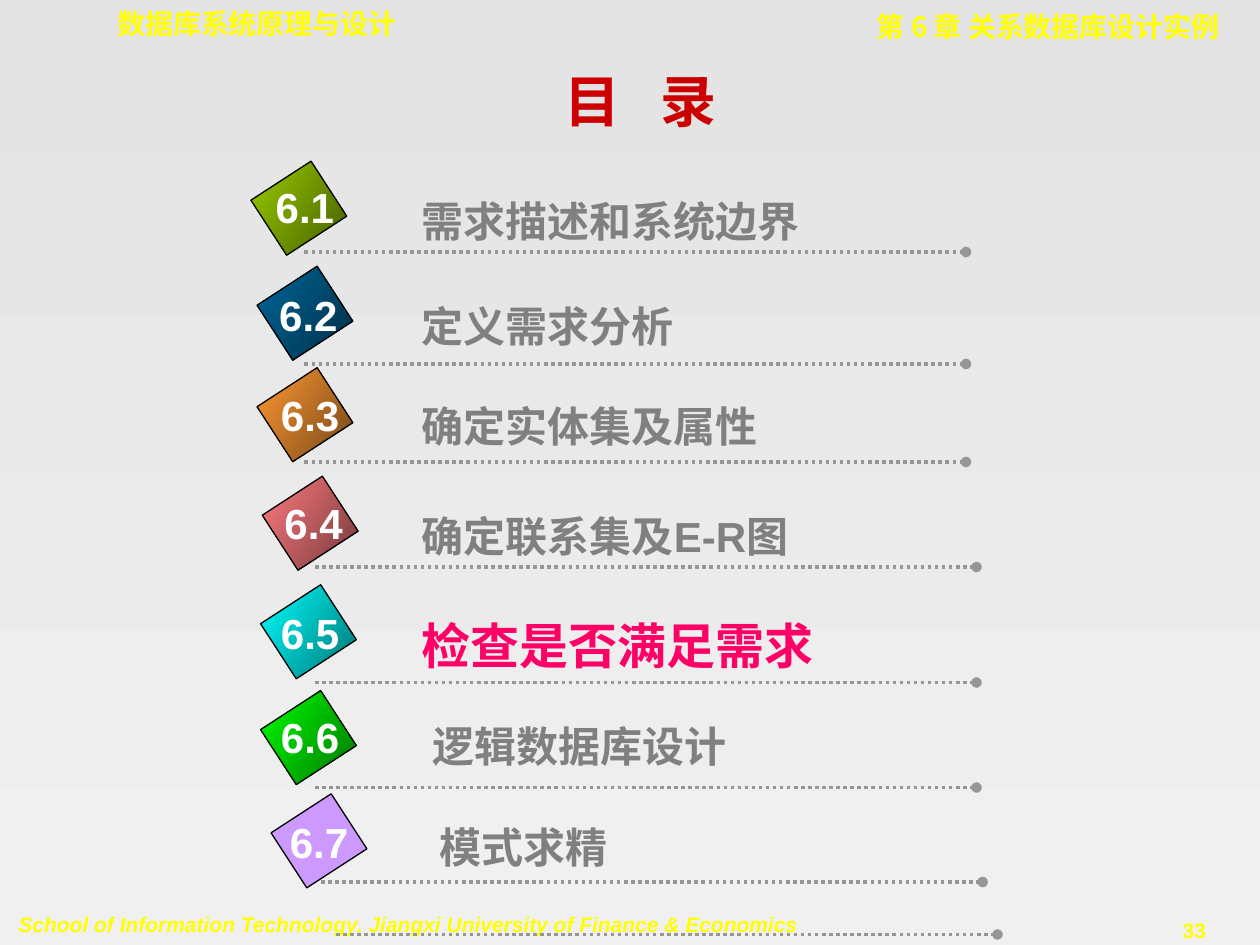
from dataclasses import dataclass

from lxml import etree
from pptx import Presentation
from pptx.dml.color import RGBColor
from pptx.enum.dml import MSO_LINE
from pptx.enum.shapes import MSO_CONNECTOR, MSO_SHAPE
from pptx.enum.text import MSO_ANCHOR, PP_ALIGN
from pptx.oxml.ns import qn
from pptx.util import Pt

LEFT, CENTER, RIGHT = PP_ALIGN.LEFT, PP_ALIGN.CENTER, PP_ALIGN.RIGHT
TOP, MIDDLE = MSO_ANCHOR.TOP, MSO_ANCHOR.MIDDLE
RECTANGLE = MSO_SHAPE.RECTANGLE
STRAIGHT = MSO_CONNECTOR.STRAIGHT
DOTTED = MSO_LINE.ROUND_DOT


@dataclass(frozen=True)
class Theme:
    background: tuple = ("E4E4E4", "F0F0F0")
    margin_text: str = "FFFF00"
    title: str = "CC0000"
    entry: str = "808080"
    current: str = "FF0066"
    rule: str = "969696"
    outline: str = "000000"
    number: str = "FFFFFF"
    font: str = "Arial"
    title_font: str = "Times New Roman"
    header_font: str = "DejaVu Sans Mono"
    east_asian: str = "Noto Sans CJK SC"
    footer_size: int = 12
    header_size: int = 16
    entry_size: int = 24
    current_size: int = 28
    title_size: int = 32


class Deck:
    """Holds the theme and the slide being drawn; lengths are in points."""

    def __init__(self, theme, slide):
        self.theme = theme
        self.slide = slide

    def gradient(self, fill, colors, angle):
        """Two-stop gradient; angle is clockwise from the left-to-right axis."""
        fill.gradient()
        fill.gradient_angle = 360 - angle
        for stop, color in zip(fill.gradient_stops, colors):
            stop.color.rgb = RGBColor.from_string(color)

    def text(self, words, left, top, width, height, size, color, font=None,
             align=LEFT, anchor=TOP, wrap=True, italic=False, parent=None):
        shapes = (parent or self.slide).shapes
        frame = shapes.add_textbox(Pt(left), Pt(top), Pt(width), Pt(height)).text_frame
        frame.word_wrap = wrap
        frame.vertical_anchor = anchor
        frame.text = words
        paragraph = frame.paragraphs[0]
        paragraph.alignment = align
        for run in paragraph.runs:
            self.style(run, size, color, font or self.theme.font, italic)
        return paragraph

    def style(self, run, size, color, font, italic=False):
        run.font.size = Pt(size)
        run.font.bold = True
        run.font.italic = italic
        run.font.name = font
        run.font.color.rgb = RGBColor.from_string(color)
        east_asian = etree.SubElement(run.font._element, qn("a:ea"))
        east_asian.set("typeface", self.theme.east_asian)

    def title(self, first, second, left, top, width, height):
        """Two characters set wide apart by letter spacing."""
        look = (self.theme.title_size, self.theme.title, self.theme.title_font)
        paragraph = self.text(first + " ", left, top, width, height, *look,
                              align=CENTER, anchor=MIDDLE)
        paragraph.runs[0].font._element.set("spc", "800")
        ending = paragraph.add_run()
        ending.text = second
        self.style(ending, *look)

    def badge(self, number, colors, tile_at, number_at):
        """Tilted tile grouped with its section number."""
        group = self.slide.shapes.add_group_shape()
        tile = group.shapes.add_shape(RECTANGLE, *map(Pt, tile_at), Pt(37.5), Pt(41))
        tile.rotation = 57
        tile.shadow.inherit = False
        tile.line.color.rgb = RGBColor.from_string(self.theme.outline)
        tile.line.width = Pt(0.75)
        if len(colors) == 1:
            tile.fill.solid()
            tile.fill.fore_color.rgb = RGBColor.from_string(colors[0])
        else:
            self.gradient(tile.fill, colors, 33)
            tile._element.spPr.find(qn("a:gradFill")).set("rotWithShape", "0")
        self.text(number, *number_at, 47.5, 36, self.theme.entry_size,
                  self.theme.number, align=CENTER, wrap=False, parent=group)

    def rule(self, left, top, length=378):
        """Dotted line ending in a dot."""
        line = self.slide.shapes.add_connector(
            STRAIGHT, Pt(left), Pt(top), Pt(left + length), Pt(top))
        line.line.color.rgb = RGBColor.from_string(self.theme.rule)
        line.line.width = Pt(2)
        line.line.dash_style = DOTTED
        properties = line._element.spPr
        etree.SubElement(properties.find(qn("a:ln")), qn("a:tailEnd")).set("type", "oval")
        etree.SubElement(properties, qn("a:effectLst"))


# words, tile colours, then the places of tile, number, words and rule
SECTIONS = [
    ("需求描述和系统边界", ("99CC00", "475E00"), (152, 98.5), (150.5, 100), (234, 108), (174, 144)),
    ("定义需求分析", ("006699", "002F47"), (155.5, 158.5), (152.5, 162), (234, 168), (174, 208)),
    ("确定实体集及属性", ("FF9933", "764718"), (155.5, 216.5), (153.5, 219), (234, 225.5), (174, 264)),
    ("确定联系集及E-R图", ("FF7C80", "76393B"), (158.5, 278.5), (155.5, 281), (234, 288), (180, 324)),
    ("检查是否满足需求", ("00FFFF", "007575"), (157.5, 340.5), (153.5, 343.5), (234, 348), (180, 390)),
    ("逻辑数据库设计", ("00FF00", "007500"), (157.5, 401), (153.5, 403), (240, 408), (180, 450)),
    ("模式求精", ("CC99FF",), (163.5, 460), (158.5, 463), (244, 466), (183.5, 504)),
]
CURRENT_SECTION = 5


def main():
    theme = Theme()
    presentation = Presentation()
    presentation.slide_width, presentation.slide_height = Pt(720), Pt(540)
    slide = presentation.slides.add_slide(presentation.slide_layouts[6])
    deck = Deck(theme, slide)
    deck.gradient(slide.background.fill, theme.background, 90)

    deck.text("33", 646.5, 520.5, 72, 21.5, theme.footer_size, theme.margin_text,
              align=CENTER, wrap=False)
    deck.text("School of Information Technology, Jiangxi University of Finance & Economics",
              3.5, 517.5, 461, 21.5, theme.footer_size, theme.margin_text,
              wrap=False, italic=True)
    deck.text("数据库系统原理与设计", 60, 0, 263.5, 26.5, theme.header_size,
              theme.margin_text, theme.header_font)
    deck.text("第 6 章 关系数据库设计实例", 391, 2, 313, 26.5, theme.header_size,
              theme.margin_text, theme.east_asian, align=RIGHT)
    deck.title("目", "录", 138, 36, 456, 42)

    for index, (words, colors, tile_at, number_at, words_at, rule_at) in enumerate(SECTIONS, 1):
        is_current = index == CURRENT_SECTION
        deck.rule(*rule_at)
        deck.text(words, *words_at, 318, 36,
                  theme.current_size if is_current else theme.entry_size,
                  theme.current if is_current else theme.entry)
        deck.badge(f"6.{index}", colors, tile_at, number_at)
    deck.rule(192, 534)

    presentation.save("out.pptx")


if __name__ == "__main__":
    main()
